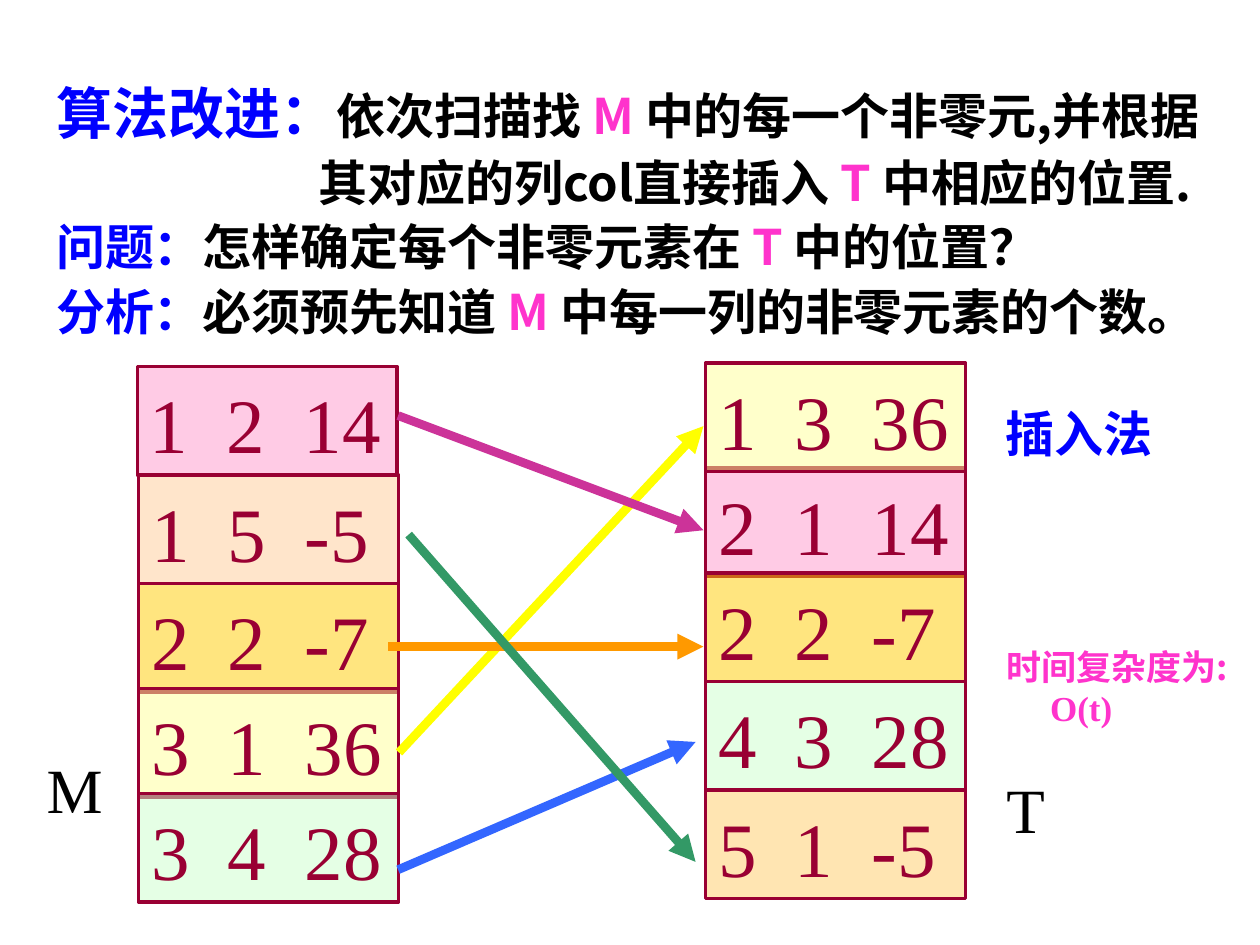
from typing import NamedTuple

from lxml.etree import SubElement
from pptx import Presentation
from pptx.dml.color import RGBColor
from pptx.enum.shapes import MSO_CONNECTOR, MSO_SHAPE
from pptx.enum.text import MSO_ANCHOR, PP_ALIGN
from pptx.oxml.ns import qn
from pptx.util import Pt

SERIF = "Times New Roman"
SANS = "Noto Sans CJK SC"
COLORS = {
    "white": "FFFFFF", "black": "000000", "blue": "0000FF", "magenta": "FF33CC",
    "maroon": "990033", "pink": "FF99CC", "peach": "FFCC99", "gold": "FFCC00",
    "cream": "FFFF99", "mint": "CCFFCC", "apricot": "FFCC66", "yellow": "FFFF00",
    "plum": "CC3399", "orange": "FF9900", "azure": "3366FF", "green": "339966",
}
CELL_WIDTH, CELL_HEIGHT = 148.5, 62
COLUMN_STEP = 44


class Triple(NamedTuple):
    left: float
    top: float
    entry: tuple[int, int, int]
    color: str


class Arrow(NamedTuple):
    start: tuple[float, float]
    end: tuple[float, float]
    color: str


class Span(NamedTuple):
    text: str
    color: str
    size: float = 28


class Line(NamedTuple):
    spans: list[Span]
    height: float | None = None
    indent: float = 0
    font: str = SANS
    bold: bool = True


M_TRIPLES = [
    Triple(78.5, 209.5, (1, 2, 14), "pink"),
    Triple(79.2, 271.5, (1, 5, -5), "peach"),
    Triple(79.2, 333.5, (2, 2, -7), "gold"),
    Triple(79.2, 393.5, (3, 1, 36), "cream"),
    Triple(79.2, 453.5, (3, 4, 28), "mint"),
]
T_TRIPLES = [
    Triple(403.2, 267.5, (2, 1, 14), "pink"),
    Triple(403.2, 451.5, (5, 1, -5), "apricot"),
    Triple(403.2, 327.5, (2, 2, -7), "gold"),
    Triple(403.2, 207.5, (1, 3, 36), "cream"),
    Triple(403.2, 389.5, (4, 3, 28), "mint"),
]
ARROWS = [
    Arrow((228, 430), (402, 243.5), "yellow"),
    Arrow((227.5, 237.5), (402, 303), "plum"),
    Arrow((222, 369.5), (402, 369.5), "orange"),
    Arrow((227.5, 497), (397.5, 424), "azure"),
    Arrow((233.5, 305.5), (397.5, 492.5), "green"),
]
EXPLANATION = [
    Line([Span("算法改进：", "blue", 32), Span("依次扫描找 ", "black"),
          Span("M ", "magenta"), Span("中的每一个非零元,并根据", "black")], 44.5),
    Line([Span("其对应的列col直接插入 ", "black"), Span("T ", "magenta"),
          Span("中相应的位置.", "black")], 37, 150),
    Line([Span("问题：", "blue"), Span("怎样确定每个非零元素在 ", "black"),
          Span("T ", "magenta"), Span("中的位置？", "black")], 37),
    Line([Span("分析：", "blue"), Span("必须预先知道 ", "black"),
          Span("M ", "magenta"), Span("中每一列的非零元素的个数。", "black")], 37),
]
COMPLEXITY = [
    Line([Span("时间复杂度为:", "magenta", 20)], 25),
    Line([Span("O(t)", "magenta", 20)], 23, 25, SERIF),
]


def rgb(name: str) -> RGBColor:
    return RGBColor.from_string(COLORS[name])


def set_font(paragraph, font: str, size: float, color: str, bold: bool) -> None:
    paragraph.font.name = font
    paragraph.font.size = Pt(size)
    paragraph.font.bold = bold
    paragraph.font.color.rgb = rgb(color)
    defaults = paragraph._p.get_or_add_pPr().find(qn("a:defRPr"))
    SubElement(defaults, qn("a:ea")).set("typeface", SANS)


def prepare_frame(shape, anchor):
    frame = shape.text_frame
    frame.word_wrap = True
    frame.margin_right = 0
    frame.vertical_anchor = anchor
    return frame


def write_lines(shape, lines: list[Line], anchor=MSO_ANCHOR.TOP) -> None:
    frame = prepare_frame(shape, anchor)
    for index, line in enumerate(lines):
        paragraph = frame.add_paragraph() if index else frame.paragraphs[0]
        paragraph.alignment = PP_ALIGN.LEFT
        if line.height:
            paragraph.line_spacing = Pt(line.height)
        if line.indent:
            properties = paragraph._p.get_or_add_pPr()
            properties.set("marL", str(Pt(line.indent)))
            properties.set("indent", "0")
        main = line.spans[-1]
        set_font(paragraph, line.font, main.size, main.color, line.bold)
        for span in line.spans:
            run = paragraph.add_run()
            run.text = span.text
            if span.color != main.color:
                run.font.color.rgb = rgb(span.color)
            if span.size != main.size:
                run.font.size = Pt(span.size)


def draw_triple(shapes, triple: Triple) -> None:
    cell = shapes.add_shape(MSO_SHAPE.RECTANGLE, Pt(triple.left), Pt(triple.top),
                            Pt(CELL_WIDTH), Pt(CELL_HEIGHT))
    cell.shadow.inherit = False
    cell.fill.solid()
    cell.fill.fore_color.rgb = rgb(triple.color)
    fill_color = cell._element.spPr.find(qn("a:solidFill"))[0]
    SubElement(fill_color, qn("a:alpha")).set("val", "50000")
    cell.line.color.rgb = rgb("maroon")
    cell.line.width = Pt(2)

    paragraph = prepare_frame(cell, MSO_ANCHOR.BOTTOM).paragraphs[0]
    paragraph.alignment = PP_ALIGN.LEFT
    tabs = SubElement(paragraph._p.get_or_add_pPr(), qn("a:tabLst"))
    for column in (1, 2):
        tab = SubElement(tabs, qn("a:tab"))
        tab.set("pos", str(Pt(column * COLUMN_STEP)))
        tab.set("algn", "l")
    set_font(paragraph, SERIF, 44, "maroon", False)
    paragraph.add_run().text = "\t".join(map(str, triple.entry))


def draw_arrow(shapes, arrow: Arrow) -> None:
    connector = shapes.add_connector(MSO_CONNECTOR.STRAIGHT,
                                     *map(Pt, arrow.start + arrow.end))
    connector.line.color.rgb = rgb(arrow.color)
    connector.line.width = Pt(5)
    SubElement(connector.line._get_or_add_ln(), qn("a:tailEnd")).set("type", "triangle")
    SubElement(connector._element.spPr, qn("a:effectLst"))


def add_label(shapes, left: float, top: float, width: float, height: float,
              lines: list[Line], anchor=MSO_ANCHOR.TOP) -> None:
    label = shapes.add_textbox(Pt(left), Pt(top), Pt(width), Pt(height))
    write_lines(label, lines, anchor)


def main() -> None:
    presentation = Presentation()
    presentation.slide_width, presentation.slide_height = Pt(720), Pt(540)
    shapes = presentation.slides.add_slide(presentation.slide_layouts[6]).shapes

    # Triple lists of the matrix M and its transpose T
    m_list = shapes.add_group_shape()
    for triple in M_TRIPLES:
        draw_triple(m_list.shapes, triple)
    for triple in T_TRIPLES:
        draw_triple(shapes, triple)

    # Moves from M to T
    for arrow in ARROWS:
        draw_arrow(shapes, arrow)

    # Matrix names
    for name, left, top in (("M", 19.5, 425), ("T", 568, 436.5)):
        add_label(shapes, left, top, 62.5, 50.5,
                  [Line([Span(name, "black", 36)], font=SERIF, bold=False)],
                  MSO_ANCHOR.BOTTOM)

    # Explanation of the improved algorithm
    explanation = shapes.add_shape(MSO_SHAPE.RECTANGLE, Pt(25), Pt(35.5), Pt(695), Pt(160.5))
    explanation.shadow.inherit = False
    explanation.fill.solid()
    explanation.fill.fore_color.rgb = rgb("white")
    explanation.line.fill.background()
    write_lines(explanation, EXPLANATION)

    # Method and its cost
    add_label(shapes, 567.5, 227, 152.5, 41,
              [Line([Span("插入法", "blue")], font=SERIF)], MSO_ANCHOR.MIDDLE)
    add_label(shapes, 568, 364.5, 147, 55.5, COMPLEXITY)

    presentation.save("out.pptx")


if __name__ == "__main__":
    main()
